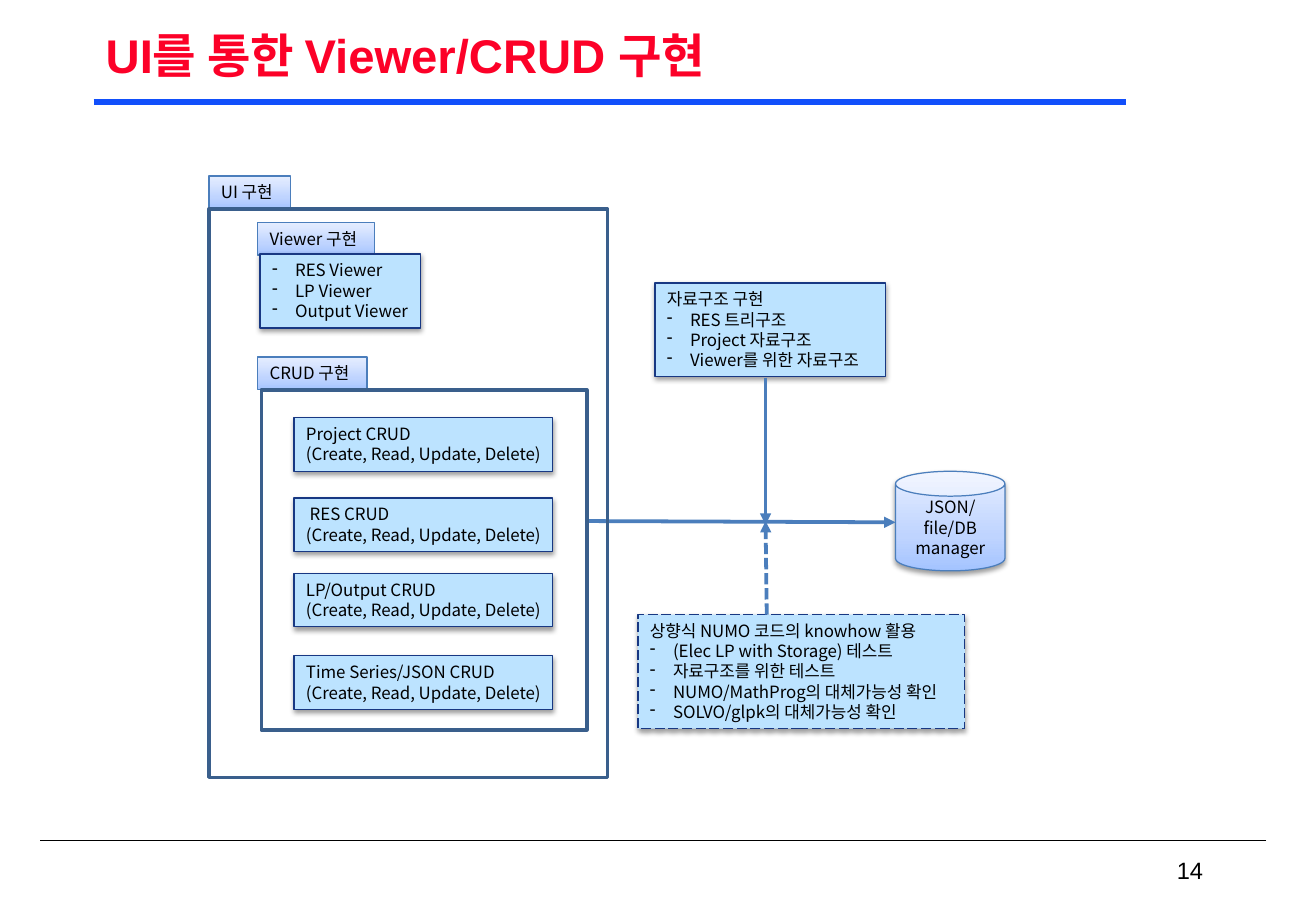
from lxml import etree
from pptx import Presentation
from pptx.dml.color import RGBColor
from pptx.enum.dml import MSO_LINE
from pptx.enum.shapes import MSO_CONNECTOR, MSO_SHAPE
from pptx.enum.text import MSO_ANCHOR, MSO_AUTO_SIZE, PP_ALIGN
from pptx.oxml.ns import qn
from pptx.util import Inches, Pt

RECT, CAN = MSO_SHAPE.RECTANGLE, MSO_SHAPE.CAN
TOP, MIDDLE = MSO_ANCHOR.TOP, MSO_ANCHOR.MIDDLE
LEFT, CENTER, RIGHT, JUSTIFY = PP_ALIGN.LEFT, PP_ALIGN.CENTER, PP_ALIGN.RIGHT, PP_ALIGN.JUSTIFY
GROW, FIXED = MSO_AUTO_SIZE.SHAPE_TO_FIT_TEXT, MSO_AUTO_SIZE.NONE
LONG_DASH, SHORT_DASH = MSO_LINE.LONG_DASH, MSO_LINE.SQUARE_DOT

BLACK = RGBColor(0, 0, 0)
RED = RGBColor(0xFC, 0x01, 0x28)
RULE_BLUE = RGBColor(0x11, 0x4F, 0xFB)
SKY = RGBColor(0xBC, 0xE3, 0xFF)
NAVY = RGBColor(0x18, 0x38, 0x83)
STEEL = RGBColor(0x4B, 0x7E, 0xBC)
FRAME_BLUE = RGBColor(0x3A, 0x5F, 0x8C)
GRADIENT = [(0, RGBColor(0xA4, 0xC4, 0xFF)), (35, RGBColor(0xBF, 0xD4, 0xFF)),
            (100, RGBColor(0xE6, 0xEE, 0xFF))]

HEADING, BODY = "Arial", "Noto Sans CJK KR"
TITLE = "UI를 통한 Viewer/CRUD 구현"
PAGE_NUMBER = "14"
ACTIONS = "(Create, Read, Update, Delete)"

TABS = [("UI 구현", 1.72, 1.45, 0.67), ("Viewer 구현", 2.12, 1.83, 0.96),
        ("CRUD 구현", 2.12, 2.94, 0.9)]
CRUD_CARDS = [("Project CRUD", 3.44), (" RES CRUD", 4.1),
              ("LP/Output CRUD", 4.72), ("Time Series/JSON CRUD", 5.4)]
LIST_CARDS = [
    (["- RES Viewer", "- LP Viewer", "- Output Viewer"], (2.14, 2.09, 1.32, 0.61), None),
    (["자료구조 구현", "- RES 트리구조", "- Project 자료구조", "- Viewer를 위한 자료구조"],
     (5.39, 2.33, 1.9, 0.77), None),
    (["상향식 NUMO 코드의 knowhow 활용", "- (Elec LP with Storage) 테스트",
      "- 자료구조를 위한 테스트", "- NUMO/MathProg의 대체가능성 확인",
      "- SOLVO/glpk의 대체가능성 확인"], (5.25, 5.06, 2.69, 0.94), LONG_DASH),
]
STORE = (["JSON/file/DB", "manager"], (7.37, 3.88, 0.9, 0.82))
FRAMES = [(2.15, 3.21, 2.68, 2.8), (1.72, 1.72, 3.28, 4.68)]
RULES = [((10.42, 6.92), (0.33, 6.92), BLACK, 1), ((0.77, 0.84), (9.27, 0.84), RULE_BLUE, 3.75)]
ARROWS = [((4.83, 4.29), (7.37, 4.3), None), ((6.3, 3.11), (6.3, 4.32), None),
          ((6.31, 5.06), (6.3, 4.29), SHORT_DASH)]


def apply(target, values):
    for name, value in values.items():
        setattr(target, name, value)


def add_child(parent, tag, **attributes):
    child = etree.SubElement(parent, qn(tag))
    for name, value in attributes.items():
        child.set(name, str(value))
    return child


def write(box, lines, font=BODY, size=10, color=BLACK, bold=False, align=LEFT,
          anchor=TOP, wrap=False, fit=GROW):
    frame = box.text_frame
    apply(frame, {"word_wrap": wrap, "auto_size": fit, "vertical_anchor": anchor})
    for index, line in enumerate(lines):
        para = frame.paragraphs[0] if index == 0 else frame.add_paragraph()
        para.alignment = align
        if line.startswith("- "):
            properties = para._p.get_or_add_pPr()
            properties.set("marL", str(Inches(0.19)))
            properties.set("indent", str(-Inches(0.19)))
            add_child(properties, "a:buFontTx")
            add_child(properties, "a:buChar", char="-")
        span = para.add_run()
        span.text = line.removeprefix("- ")
        apply(span.font, {"name": font, "size": Pt(size), "bold": bold})
        span.font.color.rgb = color
        if font == BODY:
            add_child(span._r.get_or_add_rPr(), "a:ea", typeface=font)


def draw_box(area, kind=RECT, fill=None, line=NAVY, width=0.75, dash=None, shadow=False):
    box = page.shapes.add_shape(kind, *map(Inches, area))
    if fill is GRADIENT:
        box.fill.gradient()
        box.fill.gradient_angle = 90
        stops = box._element.spPr.find(".//" + qn("a:gsLst"))
        for stop in list(stops):
            stops.remove(stop)
        for share, color in GRADIENT:
            add_child(add_child(stops, "a:gs", pos=share * 1000), "a:srgbClr", val=color)
    elif fill is None:
        box.fill.background()
    else:
        box.fill.solid()
        box.fill.fore_color.rgb = fill
    box.line.color.rgb = line
    apply(box.line, {"width": Pt(width), "dash_style": dash})
    box.shadow.inherit = False
    if shadow:
        effects = box._element.spPr.find(qn("a:effectLst"))
        outer = add_child(effects, "a:outerShdw", blurRad=Pt(3.1), dist=Pt(1.6),
                          dir=5400000, rotWithShape=0)
        add_child(add_child(outer, "a:srgbClr", val=BLACK), "a:alpha", val=38000)
    return box


def draw_line(start, end, color, width, dash=None, arrow=False):
    points = map(Inches, (*start, *end))
    line = page.shapes.add_connector(MSO_CONNECTOR.STRAIGHT, *points)
    line.line.color.rgb = color
    apply(line.line, {"width": Pt(width), "dash_style": dash})
    properties = line._element.spPr
    if arrow:
        add_child(properties.find(qn("a:ln")), "a:tailEnd", type="triangle")
    add_child(properties, "a:effectLst")


deck = Presentation()
apply(deck, {"slide_width": Inches(10.83), "slide_height": Inches(7.5)})
page = deck.slides.add_slide(deck.slide_layouts[5])

title = page.shapes.title
apply(title, {"left": Inches(0.77), "top": Inches(0.17),
              "width": Inches(9.29), "height": Inches(0.62)})
write(title, [TITLE], HEADING, 28, RED, True, JUSTIFY, MIDDLE, True, FIXED)
title.text_frame.paragraphs[0].line_spacing = 0.9

for rule in RULES:
    draw_line(*rule)

number = page.shapes.add_textbox(*map(Inches, (7.75, 7, 2.25, 0.33)))
write(number, [PAGE_NUMBER], HEADING, 14, align=RIGHT, anchor=MIDDLE, wrap=True, fit=FIXED)

for label, left, top, width in TABS:
    write(draw_box((left, top, width, 0.27), fill=GRADIENT, line=STEEL), [label])

for label, top in CRUD_CARDS:
    write(draw_box((2.42, top, 2.13, 0.44), fill=SKY, shadow=True), [label, ACTIONS])

for lines, area, dash in LIST_CARDS:
    write(draw_box(area, fill=SKY, dash=dash, shadow=True), lines)

lines, area = STORE
store = draw_box(area, CAN, GRADIENT, STEEL, shadow=True)
write(store, lines, align=CENTER, anchor=MIDDLE, wrap=True, fit=FIXED)

for start, end, dash in ARROWS:
    draw_line(start, end, STEEL, 2.25, dash, arrow=True)

for area in FRAMES:
    draw_box(area, line=FRAME_BLUE, width=2)

deck.save("out.pptx")
